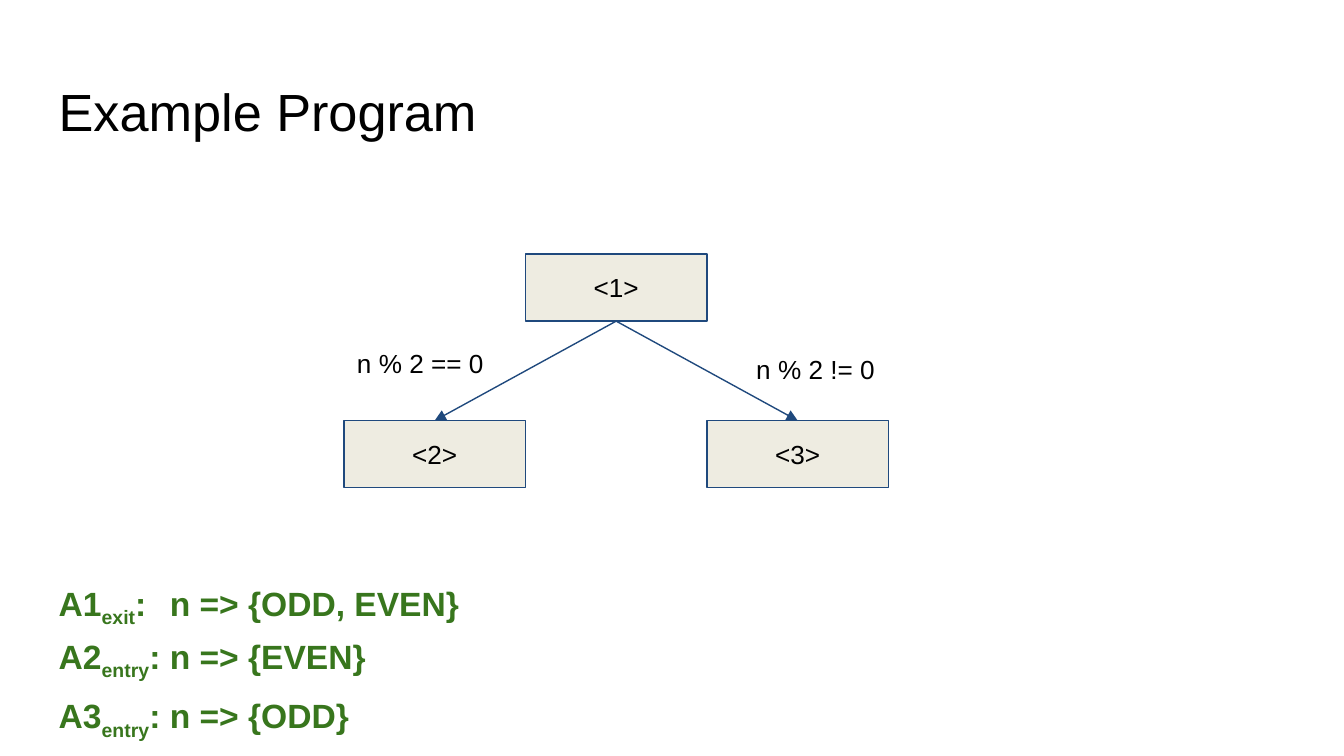
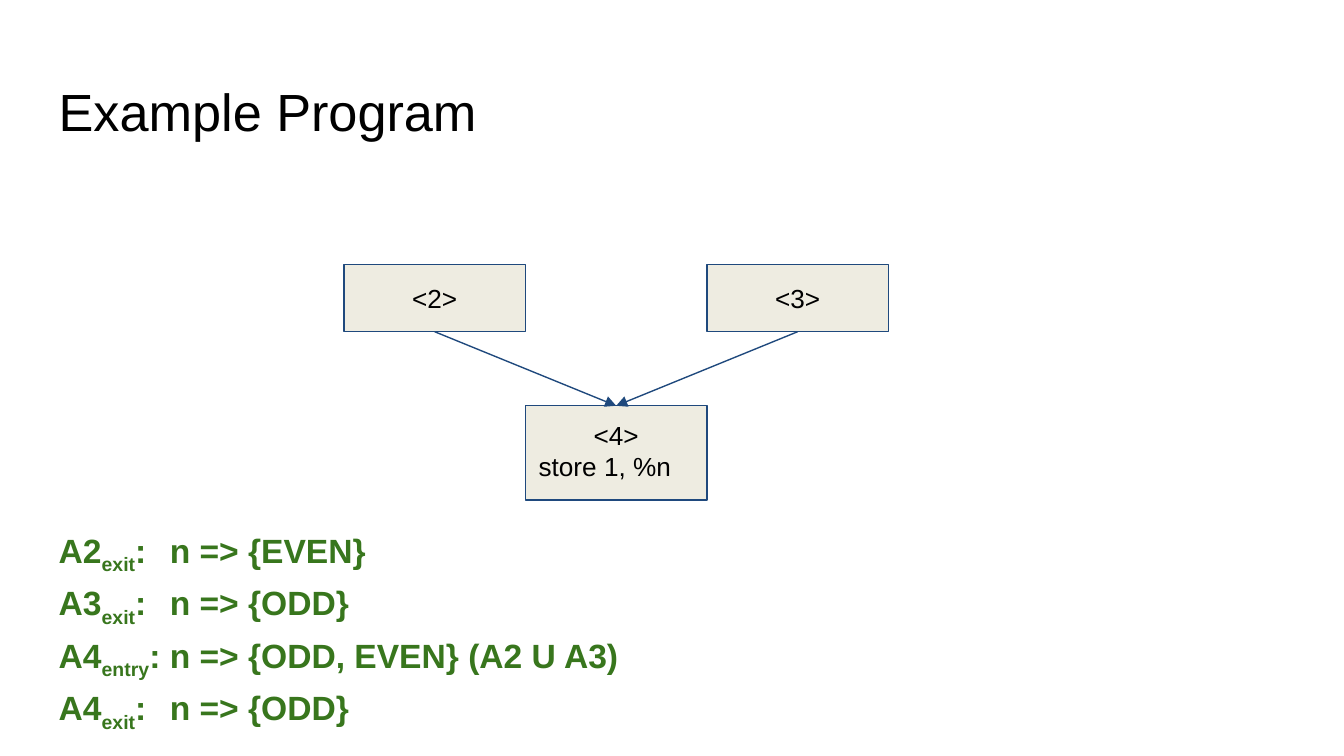
from dataclasses import dataclass

from lxml import etree
from pptx import Presentation
from pptx.dml.color import RGBColor
from pptx.enum import shapes, text
from pptx.oxml import ns
from pptx.util import Cm, Pt


# Theme
@dataclass(frozen=True)
class Theme:
    font: str = "Arial"
    ink: RGBColor = RGBColor(0x00, 0x00, 0x00)
    box: RGBColor = RGBColor(0xEE, 0xEC, 0xE1)
    edge: RGBColor = RGBColor(0x1F, 0x49, 0x7D)
    fact: RGBColor = RGBColor(0x38, 0x76, 0x1D)
    title_size: int = 28
    fact_size: int = 18
    node_size: int = 14
    line_width: float = 0.74
    inset: float = 0.25


THEME = Theme()

# Content: nodes are (lines, column, top, height); facts are (block, point, value, space before)
TITLE = "Example Program"
PROGRAM_SLIDES = [
    {
        "nodes": {
            1: (["<1>"], 1, 4.8, 1.27),
            3: (["<3>"], 2, 7.95, 1.27),
            2: (["<2>"], 0, 7.95, 1.27),
        },
        "edges": [(1, 2), (1, 3)],
        "conditions": [("n % 2 != 0", 13.13, 6.43), ("n % 2 == 0", 5.66, 6.32)],
        "facts_top": 10.64,
        "facts": [
            ("A1", "exit", "n => {ODD, EVEN}", 0),
            ("A2", "entry", "n => {EVEN}", 0),
            ("A3", "entry", "n => {ODD}", 3.75),
        ],
    },
    {
        "nodes": {
            3: (["<3>"], 2, 5, 1.27),
            2: (["<2>"], 0, 5, 1.27),
            4: (["<4>", "store 1, %n"], 1, 7.67, 1.78),
        },
        "edges": [(2, 4), (3, 4)],
        "conditions": [],
        "facts_top": 9.63,
        "facts": [
            ("A2", "exit", "n => {EVEN}", 0),
            ("A3", "exit", "n => {ODD}", 0),
            ("A4", "entry", "n => {ODD, EVEN} (A2 U A3)", 0),
            ("A4", "exit", "n => {ODD}", 0),
        ],
    },
]

# Layout, in centimetres
SLIDE_WIDTH, SLIDE_HEIGHT = 25.4, 14.29
MARGIN = 0.86
GRAPH_LEFT, NODE_WIDTH = 6.5, 3.43
VALUE_TAB = 2.1
TOP_SITE, BOTTOM_SITE = 0, 2


def prepare(frame, anchor=text.MSO_ANCHOR.TOP):
    frame.word_wrap = True
    frame.auto_size = text.MSO_AUTO_SIZE.NONE
    frame.vertical_anchor = anchor
    frame.margin_left = frame.margin_right = Cm(THEME.inset)
    frame.margin_top = frame.margin_bottom = Cm(THEME.inset)


def style(paragraph, size, color=THEME.ink, bold=False, align=text.PP_ALIGN.LEFT):
    paragraph.alignment = align
    for run in paragraph.runs:
        run.font.name = THEME.font
        run.font.size = Pt(size)
        run.font.bold = bold
        run.font.color.rgb = color


def add_title(slide):
    title = slide.shapes.title
    title.left, title.top = Cm(MARGIN), Cm(1.24)
    title.width, title.height = Cm(SLIDE_WIDTH - 2 * MARGIN), Cm(1.6)
    title.text_frame.text = TITLE
    prepare(title.text_frame)
    style(title.text_frame.paragraphs[0], THEME.title_size)


def add_node(slide, lines, column, top, height):
    node = slide.shapes.add_shape(
        shapes.MSO_SHAPE.RECTANGLE,
        Cm(GRAPH_LEFT + column * NODE_WIDTH), Cm(top), Cm(NODE_WIDTH), Cm(height))
    node.shadow.inherit = False
    node.fill.solid()
    node.fill.fore_color.rgb = THEME.box
    node.line.color.rgb = THEME.edge
    node.line.width = Pt(THEME.line_width)
    node.text_frame.text = "\n".join(lines)
    has_code = len(lines) > 1
    prepare(node.text_frame, text.MSO_ANCHOR.TOP if has_code else text.MSO_ANCHOR.MIDDLE)
    for index, paragraph in enumerate(node.text_frame.paragraphs):
        align = text.PP_ALIGN.LEFT if index else text.PP_ALIGN.CENTER
        style(paragraph, THEME.node_size, align=align)
    return node


def add_edge(slide, source, target):
    edge = slide.shapes.add_connector(shapes.MSO_CONNECTOR.STRAIGHT, 0, 0, 0, 0)
    edge.begin_connect(source, BOTTOM_SITE)
    edge.end_connect(target, TOP_SITE)
    edge.line.color.rgb = THEME.edge
    edge.line.width = Pt(THEME.line_width)
    etree.SubElement(edge.line._get_or_add_ln(), ns.qn("a:tailEnd"), type="triangle")
    etree.SubElement(edge._element.spPr, ns.qn("a:effectLst"))


def add_condition(slide, wording, left, top):
    condition = slide.shapes.add_textbox(Cm(left), Cm(top), Cm(4.57), Cm(0.81))
    condition.text_frame.text = wording
    prepare(condition.text_frame)
    style(condition.text_frame.paragraphs[0], THEME.node_size, align=text.PP_ALIGN.CENTER)


def add_facts(slide, facts, top):
    frame = slide.shapes.add_textbox(Cm(MARGIN), Cm(top), Cm(11.84), Cm(3)).text_frame
    prepare(frame)
    for index, (block, point, value, space) in enumerate(facts):
        fact = frame.add_paragraph() if index else frame.paragraphs[0]
        for part in (block, point, ":\t" + value):
            fact.add_run().text = part
        style(fact, THEME.fact_size, THEME.fact, bold=True)
        fact.runs[1].font._element.set("baseline", "-25000")
        fact.line_spacing = 1.15
        fact.space_before = Pt(space)
        # Values line up at one tab stop
        tabs = etree.SubElement(fact._p.get_or_add_pPr(), ns.qn("a:tabLst"))
        etree.SubElement(tabs, ns.qn("a:tab"), pos=str(int(Cm(VALUE_TAB))), algn="l")


# Build the slides
deck = Presentation()
deck.slide_width, deck.slide_height = Cm(SLIDE_WIDTH), Cm(SLIDE_HEIGHT)
title_only = deck.slide_layouts[5]

for content in PROGRAM_SLIDES:
    slide = deck.slides.add_slide(title_only)
    add_title(slide)
    nodes = {key: add_node(slide, *node) for key, node in content["nodes"].items()}
    for source, target in content["edges"]:
        add_edge(slide, nodes[source], nodes[target])
    for condition in content["conditions"]:
        add_condition(slide, *condition)
    add_facts(slide, content["facts"], content["facts_top"])

deck.save("out.pptx")
